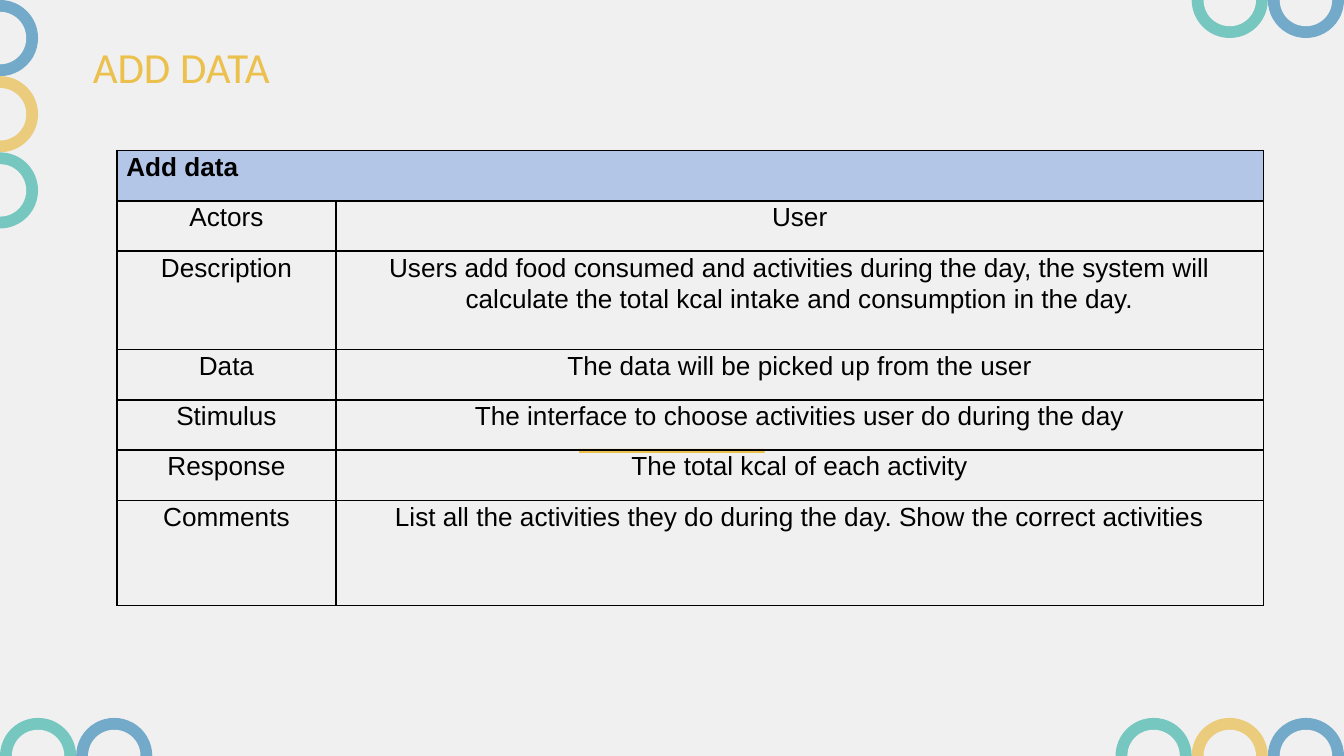
"""Build the "Add data" use case slide with its ring decoration and table."""

import dataclasses
import typing

import lxml.etree
import pptx
import pptx.dml.color
import pptx.enum.shapes
import pptx.enum.text
import pptx.oxml.ns
import pptx.presentation
import pptx.shapes.autoshape
import pptx.slide
import pptx.table
import pptx.util

Inches = pptx.util.Inches

COLORS: dict[str, str] = {
    "background": "F0F0F0",
    "accent": "EBC04C",
    "blue": "73A9C9",
    "yellow": "EBCC7D",
    "teal": "75C7BF",
    "header": "B4C6E7",
    "text": "000000",
}
SLIDE_WIDTH = 10
SLIDE_HEIGHT = SLIDE_WIDTH * 9 / 16
RING_PITCH = 1.7 / 3
RING_RADIUS = RING_PITCH / 2
HOLE_DIAMETER = 0.39
SINGLE_ROW = 3 / 8
COLUMN_WIDTHS = (1.63, 6.9)


@dataclasses.dataclass(frozen=True)
class RingChain:
    """A chain of touching rings, given by its first centre and direction."""

    x: float
    y: float
    step_x: int
    step_y: int
    colors: tuple[str, ...]


@dataclasses.dataclass(frozen=True)
class UseCaseRow:
    """A labelled row of the use case table."""

    label: str
    value: str
    height: float = SINGLE_ROW


RING_CHAINS = (
    RingChain(0, RING_RADIUS, 0, 1, ("blue", "yellow", "teal")),
    RingChain(SLIDE_WIDTH - RING_RADIUS, SLIDE_HEIGHT, -1, 0, ("blue", "yellow", "teal")),
    RingChain(RING_RADIUS, SLIDE_HEIGHT, 1, 0, ("teal", "blue")),
    RingChain(SLIDE_WIDTH - RING_RADIUS, 0, -1, 0, ("blue", "teal")),
)
USE_CASE_ROWS = (
    UseCaseRow("Actors", "User"),
    UseCaseRow(
        "Description",
        "Users add food consumed and activities during the day, the system will "
        "calculate the total kcal intake and consumption in the day.",
        0.73,
    ),
    UseCaseRow("Data", "The data will be picked up from the user"),
    UseCaseRow("Stimulus", "The interface to choose activities user do during the day"),
    UseCaseRow("Response", "The total kcal of each activity"),
    UseCaseRow(
        "Comments",
        "List all the activities they do during the day. Show the correct activities",
        0.78,
    ),
)


def rgb(name: str) -> pptx.dml.color.RGBColor:
    """Return the named colour."""
    return pptx.dml.color.RGBColor.from_string(COLORS[name])


def add_plain_shape(
    slide: pptx.slide.Slide,
    kind: pptx.enum.shapes.MSO_SHAPE,
    box: tuple[float, float, float, float],
    color: str,
) -> pptx.shapes.autoshape.Shape:
    """Add a filled shape without line or shadow."""
    shape = slide.shapes.add_shape(kind, *(Inches(length) for length in box))
    shape.shadow.inherit = False
    shape.fill.solid()
    shape.fill.fore_color.rgb = rgb(color)
    shape.line.fill.background()
    return shape


def add_ring_chain(slide: pptx.slide.Slide, chain: RingChain) -> None:
    """Draw each ring as a disc with a background-coloured hole."""
    for index, color in enumerate(chain.colors):
        x = chain.x + index * chain.step_x * RING_PITCH
        y = chain.y + index * chain.step_y * RING_PITCH
        for diameter, fill in ((RING_PITCH, color), (HOLE_DIAMETER, "background")):
            box = (x - diameter / 2, y - diameter / 2, diameter, diameter)
            add_plain_shape(slide, pptx.enum.shapes.MSO_SHAPE.OVAL, box, fill)


def format_runs(
    paragraph: typing.Any, font_name: str, size: float, color: str, bold: bool = False
) -> None:
    """Apply one font to all runs of a paragraph."""
    for run in paragraph.runs:
        run.font.name = font_name
        run.font.size = pptx.util.Pt(size)
        run.font.bold = bold
        run.font.color.rgb = rgb(color)


def format_title(slide: pptx.slide.Slide) -> None:
    """Place and format the title placeholder."""
    title = slide.shapes.title
    title.left, title.top = Inches(0.59), Inches(0.29)
    title.width, title.height = Inches(8.42), Inches(0.4)
    frame = title.text_frame
    frame.text = "ADD DATA"
    frame.auto_size = pptx.enum.text.MSO_AUTO_SIZE.NONE
    frame.vertical_anchor = pptx.enum.text.MSO_ANCHOR.MIDDLE
    frame.margin_left = frame.margin_right = Inches(0.1)
    frame.margin_top = frame.margin_bottom = Inches(0.1)
    frame.paragraphs[0].alignment = pptx.enum.text.PP_ALIGN.LEFT
    format_runs(frame.paragraphs[0], "Calibri", 23, "accent")


def add_cell_borders(cell: pptx.table._Cell) -> None:
    """Give a cell a thin border on all four sides."""
    properties = cell._tc.get_or_add_tcPr()
    qn = pptx.oxml.ns.qn
    for side in ("a:lnL", "a:lnR", "a:lnT", "a:lnB"):
        line = lxml.etree.SubElement(properties, qn(side), w=str(pptx.util.Pt(1)))
        fill = lxml.etree.SubElement(line, qn("a:solidFill"))
        lxml.etree.SubElement(fill, qn("a:srgbClr"), val=COLORS["text"])


def format_cell(cell: pptx.table._Cell, text: str, header: bool = False) -> None:
    """Fill in and format one table cell."""
    add_cell_borders(cell)
    if header:
        cell.fill.solid()
        cell.fill.fore_color.rgb = rgb("header")
    else:
        cell.fill.background()
    cell.margin_left = cell.margin_right = Inches(0.07)
    cell.margin_top = cell.margin_bottom = 0
    paragraph = cell.text_frame.paragraphs[0]
    paragraph.text = text
    alignments = pptx.enum.text.PP_ALIGN
    paragraph.alignment = alignments.LEFT if header else alignments.CENTER
    paragraph.line_spacing = 1.07
    paragraph.space_after = pptx.util.Pt(8)
    format_runs(paragraph, "Arial", 14, "text", header)


def add_use_case_table(slide: pptx.slide.Slide) -> None:
    """Add the table with its merged header row."""
    heights = [SINGLE_ROW] + [row.height for row in USE_CASE_ROWS]
    table = slide.shapes.add_table(
        len(heights), len(COLUMN_WIDTHS), Inches(0.87), Inches(1.12),
        Inches(sum(COLUMN_WIDTHS)), Inches(sum(heights)),
    ).table
    table.first_row = table.horz_banding = False
    for column, width in zip(table.columns, COLUMN_WIDTHS):
        column.width = Inches(width)
    for table_row, height in zip(table.rows, heights):
        table_row.height = Inches(height)
    table.cell(0, 0).merge(table.cell(0, 1))
    format_cell(table.cell(0, 0), "Add data", header=True)
    add_cell_borders(table.cell(0, 1))
    for index, row in enumerate(USE_CASE_ROWS, start=1):
        format_cell(table.cell(index, 0), row.label)
        format_cell(table.cell(index, 1), row.value)


def main() -> None:
    """Build and save the presentation."""
    presentation = pptx.Presentation()
    presentation.slide_width = Inches(SLIDE_WIDTH)
    presentation.slide_height = Inches(SLIDE_HEIGHT)
    slide = presentation.slides.add_slide(presentation.slide_layouts.get_by_name("Title Only"))
    slide.background.fill.solid()
    slide.background.fill.fore_color.rgb = rgb("background")
    rule_box = (4.31, 3.34, 1.38, 0.03)
    add_plain_shape(slide, pptx.enum.shapes.MSO_SHAPE.RECTANGLE, rule_box, "accent")
    for chain in RING_CHAINS:
        add_ring_chain(slide, chain)
    format_title(slide)
    add_use_case_table(slide)
    presentation.save("out.pptx")


if __name__ == "__main__":
    main()
